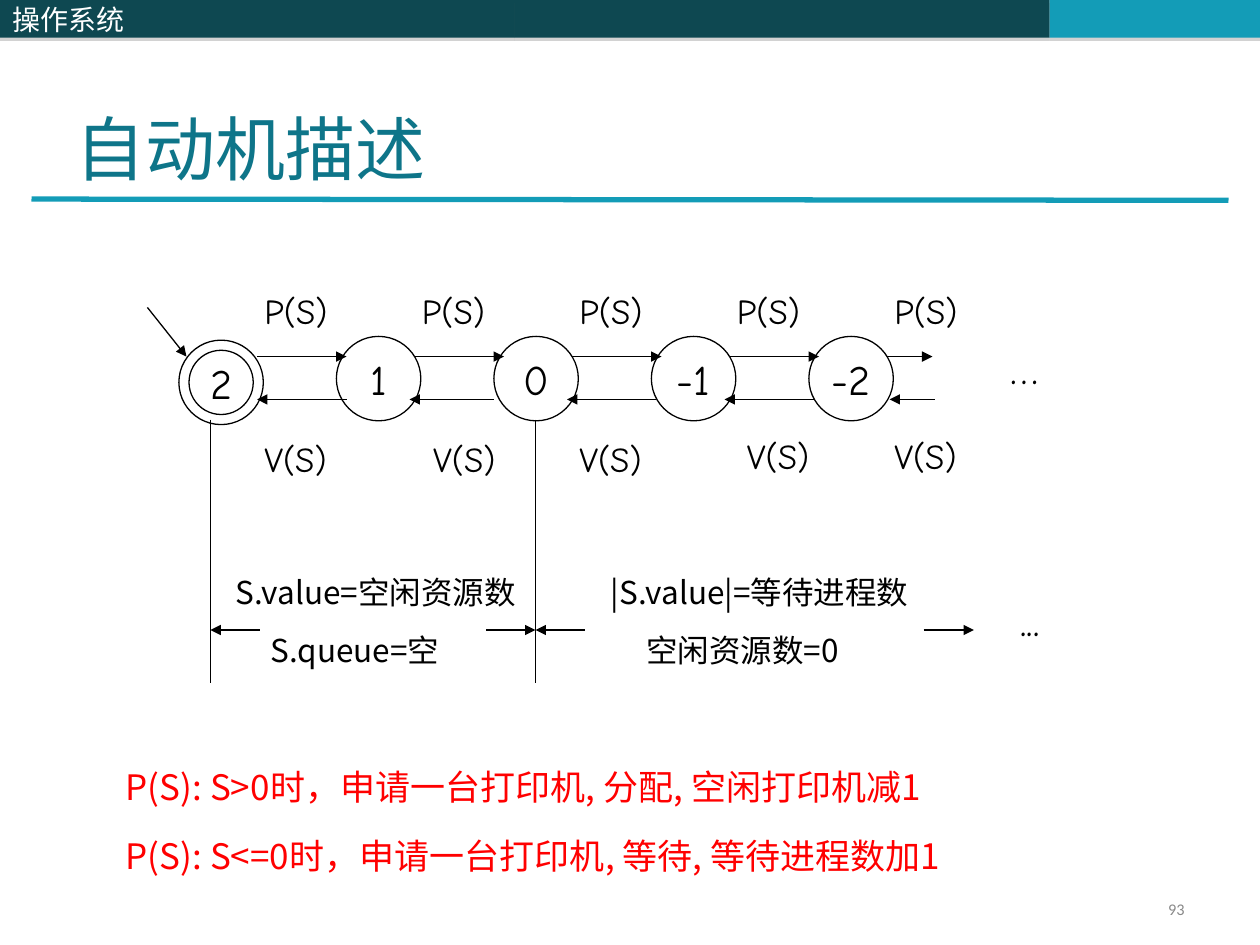
"""Build the slide describing a semaphore as an automaton."""
from lxml import etree
from pptx import Presentation, util as u
from pptx.dml.color import RGBColor
from pptx.enum import shapes, text
from pptx.oxml import ns

W, H = 10, 7.5
COLORS = {"dark": "0E4851", "teal": "139CB7", "title": "0E7589", "gray": "898989",
          "black": "000000", "white": "FFFFFF", "red": "FF0000"}
CJK, HAND = "Noto Sans CJK SC", "Comic Neue"

BARS = [("dark", 4.08, 4.25), ("teal", 8.33, 1.67), ("dark", 0, 4.08)]
STATES = ["2", "1", "0", "-1", "-2"]
FIRST_X, STEP, SIZE = 1.42, 1.25, 0.67
P_Y, V_Y = 2.83, 3.17
V_LABELS = [(2, 3.42), (3.34, 3.42), (4.5, 3.42), (5.83, 3.4), (7, 3.4)]
V_ARROWS = [(2.75, 2.04), (3.92, 3.25), (5.21, 4.5), (6.46, 5.75), (7.42, 7.06)]
RANGE_ARROWS = [(3.86, 4.25), (2.06, 1.67), (4.64, 4.25), (7.33, 7.73)]
RANGE_LIMITS = [1.67, 4.25]
NOTES = [
    (1.77, 2.52, ["S.value=空闲资源数", "S.queue=空"]),
    (4.75, 2.77, ["|S.value|=等待进程数", "空闲资源数=0"]),
]
RULES = ["P(S): S>0时，申请一台打印机, 分配, 空闲打印机减1",
         "P(S): S<=0时，申请一台打印机, 等待, 等待进程数加1"]
ELLIPSES = [("…", 7.92, 2.67, 0.5), ("...", 8, 4.67, 0.67)]


def rgb(name):
    return RGBColor.from_string(COLORS[name])


def write(sp, lines, size, font=HAND, color="black", align=text.PP_ALIGN.LEFT,
          anchor=text.MSO_ANCHOR.TOP, wrap=True, gap=0, indent=0):
    tf = sp.text_frame
    tf.word_wrap, tf.vertical_anchor = wrap, anchor
    for i, line in enumerate(lines):
        p = tf.add_paragraph() if i else tf.paragraphs[0]
        p.text, p.alignment = line, align
        if i:
            p.space_before = u.Pt(gap)
            p._p.get_or_add_pPr().set("marL", str(u.Inches(indent)))
        f = p.runs[0].font
        f.size, f.name, f.color.rgb = u.Pt(size), font, rgb(color)
        ea = etree.SubElement(p.runs[0]._r.get_or_add_rPr(), ns.qn("a:ea"))
        ea.set("typeface", CJK)


def label(s, x, y, w, h, lines, size, **style):
    sp = s.shapes.add_textbox(*map(u.Inches, (x, y, w, h)))
    write(sp, lines, size, **style)


def shape(s, kind, x, y, w, h, fill=None):
    sp = s.shapes.add_shape(kind, *map(u.Inches, (x, y, w, h)))
    sp.shadow.inherit = False
    if fill:
        sp.fill.solid()
        sp.fill.fore_color.rgb = rgb(fill)
        sp.line.fill.background()
    else:
        sp.fill.background()
        sp.line.color.rgb, sp.line.width = rgb("black"), u.Pt(0.75)
    return sp


def bar(s, fill, x, w):
    sp = shape(s, shapes.MSO_SHAPE.RECTANGLE, x, 0, w, 0.04 * H, fill)
    effects = sp._element.spPr.find(ns.qn("a:effectLst"))
    shadow = etree.SubElement(effects, ns.qn("a:outerShdw"), blurRad="0",
                              dist=str(u.Pt(1.8)), dir="5400000", rotWithShape="0")
    tint = etree.SubElement(shadow, ns.qn("a:srgbClr"), val="808080")
    etree.SubElement(tint, ns.qn("a:alpha"), val="35000")
    return sp


def line(s, x1, y1, x2, y2, arrow=True, color="black", width=0.75):
    c = s.shapes.add_connector(shapes.MSO_CONNECTOR.STRAIGHT, *map(u.Inches, (x1, y1, x2, y2)))
    c.line.color.rgb, c.line.width = rgb(color), u.Pt(width)
    if arrow:
        etree.SubElement(c.line._get_or_add_ln(), ns.qn("a:tailEnd"), type="triangle")
    etree.SubElement(c._element.spPr, ns.qn("a:effectLst"))


def draw_frame(s):
    bars = [bar(s, *b) for b in BARS]
    write(bars[-1], ["操作系统"], 16, CJK, "white", anchor=text.MSO_ANCHOR.MIDDLE)
    line(s, 0.25, 1.58, W - 0.25, 1.59, False, "teal", 3)
    label(s, 7.17, 7.08, 2.33, 0.27, ["93"], 9.3, font="Calibri", color="gray",
          align=text.PP_ALIGN.RIGHT, anchor=text.MSO_ANCHOR.MIDDLE)
    label(s, 0.5, 0.3, W - 1, 1.25, ["自动机描述"], 40, font="Times New Roman",
          color="title", anchor=text.MSO_ANCHOR.BOTTOM)


def draw_automaton(s):
    oval = shapes.MSO_SHAPE.OVAL
    for i, state in enumerate(STATES):
        x = FIRST_X + i * STEP
        sp = shape(s, oval, x, 2.67 if i else 2.7, SIZE, SIZE)
        write(sp, [state], 24, align=text.PP_ALIGN.CENTER,
              anchor=text.MSO_ANCHOR.MIDDLE, wrap=False)
        start = x + 0.62
        line(s, start, P_Y, start + (0.36 if i == len(STATES) - 1 else 0.71), P_Y)
        label(s, 2 + i * STEP, 2.25, 0.83, 0.44, ["P(S)"], 20)
    shape(s, oval, FIRST_X + 0.08, 2.78, 0.51, 0.51)
    for (x, y), (x1, x2) in zip(V_LABELS, V_ARROWS):
        label(s, x, y, 0.83, 0.44, ["V(S)"], 20)
        line(s, x1, V_Y, x2, V_Y)
    line(s, 1.17, 2.44, 1.48, 2.83)


def draw_ranges(s):
    for x in RANGE_LIMITS:
        line(s, x, 3.33, x, 5.42, False)
    for x1, x2 in RANGE_ARROWS:
        line(s, x1, 5, x2, 5)
    for x, w, lines in NOTES:
        label(s, x, 4.5, w, 1.16, lines, 18, font=CJK, gap=11.2, indent=0.28)
    for dots, x, y, w in ELLIPSES:
        label(s, x, y, w, 0.5, [dots], 24)
    label(s, 0.9, 6.03, 8.27, 1.04, RULES, 20, font=CJK, color="red", gap=15)


def main():
    prs = Presentation()
    prs.slide_width, prs.slide_height = u.Inches(W), u.Inches(H)
    s = prs.slides.add_slide(prs.slide_layouts[6])
    draw_frame(s)
    draw_automaton(s)
    draw_ranges(s)
    prs.save("out.pptx")


if __name__ == "__main__":
    main()
